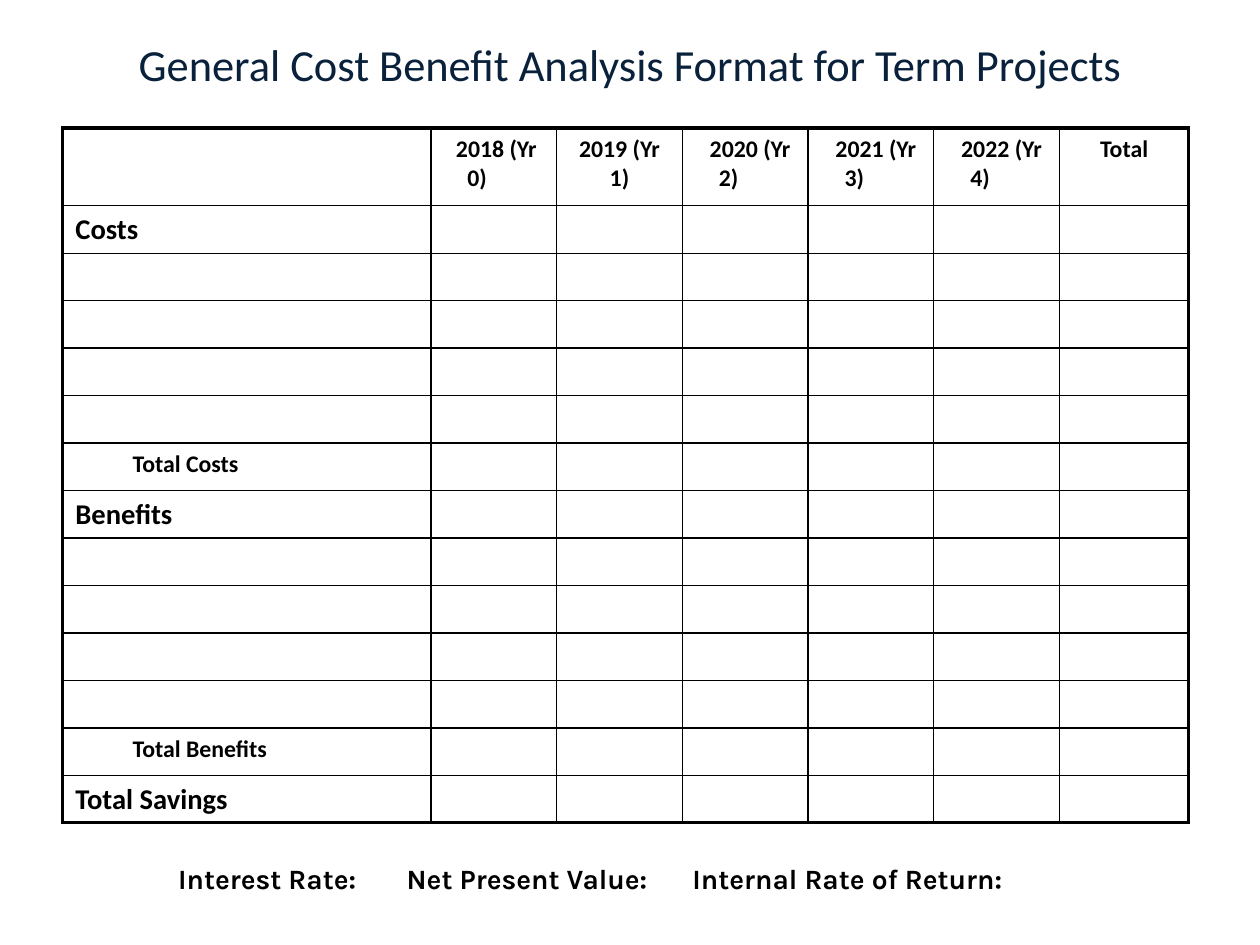
import pptx
import pptx.dml.color
import pptx.enum.text
import pptx.oxml
import pptx.oxml.ns
import pptx.util
from lxml import etree

Inches = pptx.util.Inches
Align = pptx.enum.text.PP_ALIGN
Anchor = pptx.enum.text.MSO_ANCHOR
qn = pptx.oxml.ns.qn

TITLE = "General Cost Benefit Analysis Format for Term Projects"
FOOTER = "Interest Rate:\tNet Present Value:\tInternal Rate of Return:"
FOOTER_TABS = [2.0, 4.5]
# Heading and the left edge of its first line; None centres it
HEADINGS = [
    ("2018 (Yr 0)", 0.11),
    ("2019 (Yr 1)", None),
    ("2020 (Yr 2)", 0.13),
    ("2021 (Yr 3)", 0.13),
    ("2022 (Yr 4)", 0.13),
    ("Total", None),
]
SECOND_LINE = 0.21
LINES_PER_GROUP = 4
GROUPS = ["Costs", "Benefits"]
RESULT = "Total Savings"

NAVY, BLACK = "09213B", "000000"
SLIDE_CM = (28, 21)
LEFT, TOP, HEIGHT = 0.55, 1.12, 6.08
HEADER_HEIGHT = 0.68
COLUMNS = [3.22] + [1.1] * 5 + [1.13]
THIN, THICK = 1, 2.25


def color(value):
    return pptx.dml.color.RGBColor.from_string(value)


def write(para, text, size, font="Calibri", ink=BLACK, bold=True):
    span = para.add_run()
    span.text = text
    span.font.size = pptx.util.Pt(size)
    span.font.name = font
    span.font.bold = bold
    span.font.color.rgb = color(ink)


def indent(para, left=0, first=0, tabs=()):
    """Set left margin, first-line offset and tab stops, in inches."""
    settings = para._p.get_or_add_pPr()
    settings.set("marL", str(Inches(left)))
    settings.set("indent", str(Inches(first)))
    if tabs:
        stops = etree.SubElement(settings, qn("a:tabLst"))
        for stop in tabs:
            etree.SubElement(stops, qn("a:tab"), pos=str(Inches(stop)), algn="l")


def add_box(page, left, top, width, height):
    box = page.shapes.add_textbox(*map(Inches, (left, top, width, height)))
    box.text_frame.word_wrap = True
    return box.text_frame


def set_borders(cell, widths):
    """Draw the left, right, top and bottom borders, widths in points."""
    settings = cell._tc.get_or_add_tcPr()
    for place, (side, width) in enumerate(zip("LRTB", widths)):
        line = etree.Element(qn("a:ln" + side), w=str(pptx.util.Pt(width)))
        fill = etree.SubElement(line, qn("a:solidFill"))
        etree.SubElement(fill, qn("a:srgbClr"), val=BLACK)
        settings.insert(place, line)


def label_cell(cell):
    """Set the margins of a cell with text and return its paragraph."""
    cell.margin_left = cell.margin_right = Inches(0.11)
    cell.margin_top = Inches(0.06)
    cell.margin_bottom = Inches(0.05)
    return cell.text_frame.paragraphs[0]


def row_labels():
    labels = []
    for group in GROUPS:
        labels += [group] + [""] * LINES_PER_GROUP + ["Total " + group]
    return labels + [RESULT]


def add_analysis(page):
    labels = row_labels()
    row_count, column_count = len(labels) + 1, len(COLUMNS)
    table = page.shapes.add_table(
        row_count, column_count,
        *map(Inches, (LEFT, TOP, sum(COLUMNS), HEIGHT))).table
    table.first_row = table.horz_banding = False
    for column, width in zip(table.columns, COLUMNS):
        column.width = Inches(width)
    for index, row in enumerate(table.rows):
        row.height = Inches((HEIGHT - HEADER_HEIGHT) / len(labels) if index
                            else HEADER_HEIGHT)
        for number, cell in enumerate(row.cells):
            cell.fill.background()
            outer = (number == 0, number == column_count - 1,
                     index == 0, index == row_count - 1)
            set_borders(cell, [THICK if edge else THIN for edge in outer])

    for number, (heading, first_line) in enumerate(HEADINGS, 1):
        para = label_cell(table.cell(0, number))
        if first_line is None:
            para.alignment = Align.CENTER
        else:
            indent(para, SECOND_LINE, first_line - SECOND_LINE)
        write(para, heading, 15)

    for index, label in enumerate(labels, 1):
        if label:
            para = label_cell(table.cell(index, 0))
            subtotal = label not in GROUPS + [RESULT]
            indent(para, 0.5 if subtotal else 0)
            write(para, label, 15 if subtotal else 18)


def main():
    deck = pptx.Presentation()
    deck.slide_width, deck.slide_height = (Inches(side / 2.54) for side in SLIDE_CM)
    page = deck.slides.add_slide(deck.slide_layouts[6])

    title = add_box(page, 0.26, 0.1, 10.5, 0.75)
    title.vertical_anchor = Anchor.BOTTOM
    title.margin_bottom = Inches(0.06)
    title.paragraphs[0].alignment = Align.CENTER
    write(title.paragraphs[0], TITLE, 28, ink=NAVY, bold=False)

    add_analysis(page)

    footer = add_box(page, 1.46, 7.49, 9.55, 0.4)
    indent(footer.paragraphs[0], tabs=FOOTER_TABS)
    write(footer.paragraphs[0], FOOTER, 17.6, font="Karla")
    deck.save("out.pptx")


if __name__ == "__main__":
    main()
